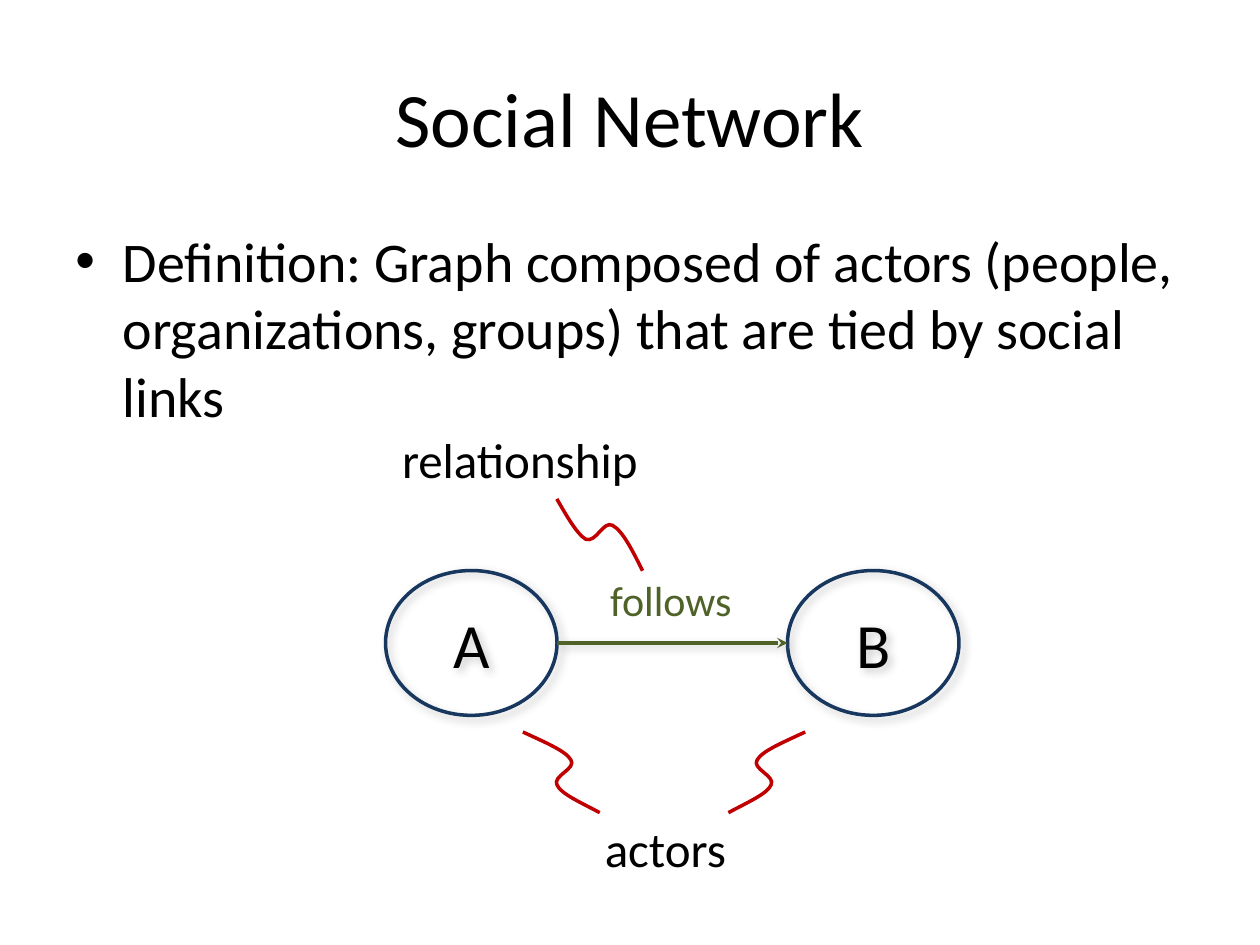
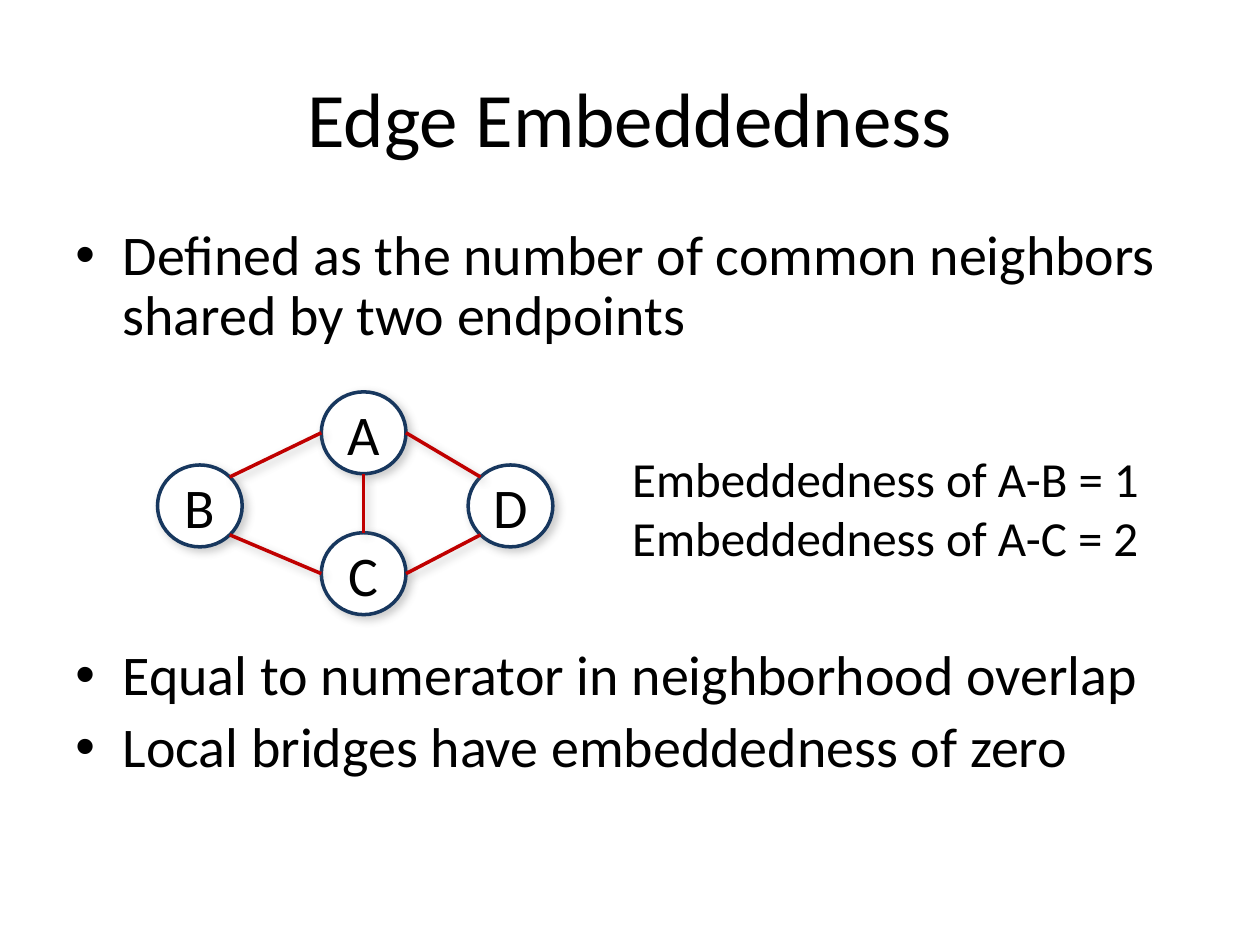
import math

import lxml.etree
import pptx
import pptx.dml.color
import pptx.enum.shapes
import pptx.enum.text
import pptx.oxml.ns
import pptx.util

Pt = pptx.util.Pt
RGBColor = pptx.dml.color.RGBColor
ALIGN = pptx.enum.text.PP_ALIGN
ANCHOR = pptx.enum.text.MSO_ANCHOR
qn = pptx.oxml.ns.qn

BLACK = RGBColor(0x00, 0x00, 0x00)
WHITE = RGBColor(0xFF, 0xFF, 0xFF)
NAVY = RGBColor(0x17, 0x37, 0x5E)
GREEN = RGBColor(0x4F, 0x62, 0x28)
RED = RGBColor(0xC0, 0x00, 0x00)
GRAY = RGBColor(0x80, 0x80, 0x80)

FONT = "Calibri"
LINE_WIDTH = Pt(2)
BULLET_INDENT = Pt(27)


def child(parent, tag, **attributes):
    values = {name: str(value) for name, value in attributes.items()}
    return lxml.etree.SubElement(parent, qn(tag), values)


def cast_shadow(element):
    """Give a shape or connector the soft shadow; its line must be set first."""
    effects = child(element.spPr, "a:effectLst")
    shadow = child(effects, "a:outerShdw", blurRad=Pt(5), dist=Pt(3),
                   dir=45 * 60000, algn="tl", rotWithShape=0)
    color = child(shadow, "a:srgbClr", val=GRAY)
    child(color, "a:alpha", val=40000)


def rim_point(oval, degrees):
    """Point on the rim of an oval, clockwise from its right-hand side."""
    angle = math.radians(degrees)
    return (int(oval.left + oval.width / 2 * (1 + math.cos(angle))),
            int(oval.top + oval.height / 2 * (1 + math.sin(angle))))


class Lecture:
    """Holds the deck, its style and the slide being filled."""

    def __init__(self):
        self.deck = pptx.Presentation()
        self.deck.slide_width = Pt(720)
        self.deck.slide_height = Pt(540)
        self.page = None

    def new_page(self, title):
        self.page = self.deck.slides.add_slide(self.deck.slide_layouts[6])
        self.text([title], 36, 21.6, 648, 90, 44, align=ALIGN.CENTER, anchor=ANCHOR.MIDDLE)

    def add_span(self, para, words, size, color=BLACK):
        span = para.add_run()
        span.text = words
        span.font.name = FONT
        span.font.size = Pt(size)
        span.font.color.rgb = color

    def text(self, lines, left, top, width, height, size, color=BLACK,
             align=ALIGN.LEFT, anchor=ANCHOR.TOP):
        box = self.page.shapes.add_textbox(Pt(left), Pt(top), Pt(width), Pt(height))
        frame = box.text_frame
        frame.word_wrap = True
        frame.vertical_anchor = anchor
        for index, words in enumerate(lines):
            para = frame.add_paragraph() if index else frame.paragraphs[0]
            para.alignment = align
            self.add_span(para, words, size, color)
        return frame

    def bullets(self, lines, line_spacing=1.0, gaps=()):
        """Fill the body; gaps are the spaces before the second and later lines."""
        frame = self.text(lines, 36, 126, 648, 358, 32)
        for para in frame.paragraphs:
            para.line_spacing = line_spacing
            properties = para._p.get_or_add_pPr()
            properties.set("marL", str(BULLET_INDENT))
            properties.set("indent", str(-BULLET_INDENT))
            child(properties, "a:buFont", typeface="Arial")
            child(properties, "a:buChar", char="•")
        for para, gap in zip(frame.paragraphs[1:], gaps):
            para.space_before = Pt(gap)

    def node(self, name, left, top, width, height, size, fill=None):
        oval = self.page.shapes.add_shape(pptx.enum.shapes.MSO_SHAPE.OVAL, Pt(left), Pt(top),
                                          Pt(width), Pt(height))
        if fill is None:
            oval.fill.background()
        else:
            oval.fill.solid()
            oval.fill.fore_color.rgb = fill
        oval.line.color.rgb = NAVY
        oval.line.width = LINE_WIDTH
        cast_shadow(oval._element)
        oval.text_frame.vertical_anchor = ANCHOR.MIDDLE
        para = oval.text_frame.paragraphs[0]
        para.alignment = ALIGN.CENTER
        self.add_span(para, name, size)
        return oval

    def edge(self, start, end, color, arrow=False):
        line = self.page.shapes.add_connector(
            pptx.enum.shapes.MSO_CONNECTOR.STRAIGHT, *start, *end)
        line.line.color.rgb = color
        line.line.width = LINE_WIDTH
        if arrow:
            child(line.line._get_or_add_ln(), "a:tailEnd", type="stealth")
        cast_shadow(line._element)

    def squiggle(self, points):
        """Draw a chain of cubic curves: a start, then three points for each curve."""
        start, *rest = [(Pt(x), Pt(y)) for x, y in points]
        builder = self.page.shapes.build_freeform(*start)
        builder.add_line_segments(rest, close=False)
        curve = builder.convert_to_shape()
        segments = list(curve._element.iter(qn("a:lnTo")))
        outline = segments[0].getparent()
        for first in range(0, len(segments), 3):
            bend = child(outline, "a:cubicBezTo")
            for segment in segments[first:first + 3]:
                bend.append(segment[0])
                outline.remove(segment)
        curve.fill.background()
        curve.line.color.rgb = RED
        curve.line.width = LINE_WIDTH
        curve.shadow.inherit = False


def social_network(lecture):
    lecture.new_page("Social Network")
    lecture.bullets(["Definition: Graph composed of actors (people, organizations, groups) "
                     "that are tied by social links"])
    actor_a, actor_b = [lecture.node(name, left, 326, 98, 82.8, 36)
                        for name, left in (("A", 220.3), ("B", 450))]
    lecture.edge(rim_point(actor_a, 0), rim_point(actor_b, 180), GREEN, arrow=True)
    for label, left, top, width, size, color in (
            ("follows", 330.5, 324.7, 105.8, 24, GREEN),
            ("actors", 330.5, 464.4, 99.4, 28, BLACK),
            ("relationship", 216, 241.9, 162, 28, BLACK)):
        lecture.text([label], left, top, width, 40, size, color, ALIGN.CENTER)

    lecture.squiggle([(318.2, 285.1), (324, 295.2), (329.8, 305.3), (334.8, 308.2),
                      (340.6, 310.3), (344.9, 297.4), (349.9, 300.2),
                      (355.7, 303.1), (361.4, 314.6), (367.2, 326.2)])
    to_b = [(416.2, 464.4), (427, 458.6), (438.5, 453.6), (440.6, 448.6),
            (443.5, 443.5), (429.1, 439.2), (432.7, 434.2),
            (435.6, 429.1), (447.8, 424.1), (460.1, 418.3)]
    to_a = [(758.9 - x, y) for x, y in to_b]
    lecture.squiggle(to_b)
    lecture.squiggle(to_a)


def edge_embeddedness(lecture):
    lecture.new_page("Edge Embeddedness")
    lecture.bullets(["Defined as the number of common neighbors shared by two endpoints",
                     "Equal to numerator in neighborhood overlap",
                     "Local bridges have embeddedness of zero"],
                    line_spacing=0.9, gaps=(171, 6.4))
    places = {"A": (183.6, 223.9), "C": (183.6, 304.4),
              "B": (90, 265.7), "D": (267.5, 265.7)}
    nodes = {name: lecture.node(name, *place, 48.4, 46.8, 32, WHITE)
             for name, place in places.items()}
    for start, start_angle, end, end_angle in (
            ("C", 180, "B", 45), ("D", 135, "C", 0), ("A", 180, "B", -45),
            ("D", -135, "A", 0), ("C", -90, "A", 90)):
        lecture.edge(rim_point(nodes[start], start_angle),
                     rim_point(nodes[end], end_angle), RED)
    lecture.text(["Embeddedness of A-B = 1", "Embeddedness of A-C = 2"],
                 354.2, 252.7, 311.8, 74.2, 28)


def main():
    lecture = Lecture()
    social_network(lecture)
    edge_embeddedness(lecture)
    lecture.deck.save("out.pptx")


if __name__ == "__main__":
    main()
